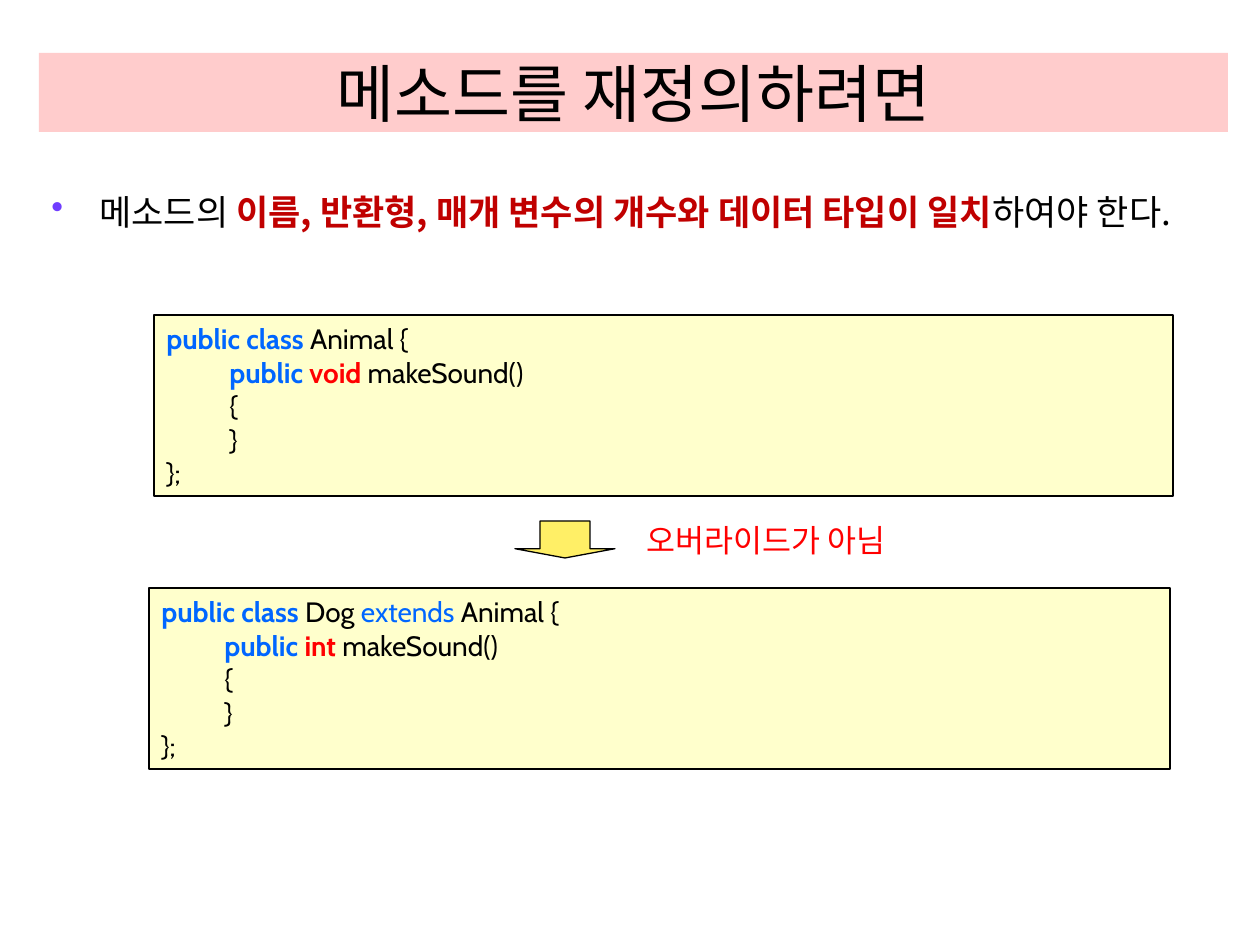
from lxml.etree import SubElement
from pptx import Presentation
from pptx.dml.color import RGBColor
from pptx.enum.shapes import MSO_CONNECTOR, MSO_SHAPE
from pptx.enum.text import MSO_ANCHOR, PP_ALIGN
from pptx.oxml.ns import qn
from pptx.util import Emu, Pt

BLACK = RGBColor(0x00, 0x00, 0x00)
PINK = RGBColor(0xFF, 0xCC, 0xCC)
CREAM = RGBColor(0xFF, 0xFF, 0xCC)
YELLOW = RGBColor(0xFF, 0xEF, 0x66)
BLUE = RGBColor(0x00, 0x66, 0xFF)
RED = RGBColor(0xFF, 0x00, 0x00)
CRIMSON = RGBColor(0xC0, 0x00, 0x00)
VIOLET = RGBColor(0x70, 0x3D, 0xFF)
HANGUL = "Noto Sans CJK KR"
CODE = "Cabin"
COMIC = "Comic Neue"


def px(*sizes):
    return [Emu(round(size * 914400 / 126)) for size in sizes]


class Deck:
    def __init__(self, wide, high):
        self.prs = Presentation()
        self.prs.slide_width, self.prs.slide_height = px(wide, high)
        self.slide = self.prs.slides.add_slide(self.prs.slide_layouts[6])
        self.edge = Pt(0.75)

    def shape(self, kind, box, fill, line=None):
        shape = self.slide.shapes.add_shape(kind, *px(*box))
        shape.shadow.inherit = False
        shape.fill.solid()
        shape.fill.fore_color.rgb = fill
        if line is None:
            shape.line.fill.background()
        else:
            shape.line.color.rgb = line
            shape.line.width = self.edge
        return shape

    def font(self, para, size, name, color=BLACK):
        para.font.size = Pt(size)
        para.font.name = name
        para.font.color.rgb = color
        props = para._p.pPr.find(qn("a:defRPr"))
        SubElement(props, qn("a:ea")).set("typeface", HANGUL)

    def runs(self, para, parts):
        for text, color, bold in parts:
            run = para.add_run()
            run.text = text
            run.font.color.rgb = color
            run.font.bold = bold

    def title(self, box, text):
        frame = self.shape(MSO_SHAPE.RECTANGLE, box, PINK).text_frame
        frame.vertical_anchor = MSO_ANCHOR.MIDDLE
        para = frame.paragraphs[0]
        para.text = text
        para.alignment = PP_ALIGN.CENTER
        self.font(para, 36, HANGUL)

    def bullet(self, box, parts):
        frame = self.slide.shapes.add_textbox(*px(*box)).text_frame
        frame.word_wrap = True
        para = frame.paragraphs[0]
        props = para._p.get_or_add_pPr()
        indent = px(48)[0]
        props.set("marL", str(indent))
        props.set("indent", str(-indent))
        tint = SubElement(props, qn("a:buClr"))
        SubElement(tint, qn("a:srgbClr")).set("val", str(VIOLET))
        SubElement(props, qn("a:buChar")).set("char", "•")
        self.runs(para, parts)
        self.font(para, 20, HANGUL)

    def code(self, box, head, kind):
        frame = self.shape(MSO_SHAPE.RECTANGLE, box, CREAM, BLACK).text_frame
        frame.vertical_anchor = MSO_ANCHOR.MIDDLE
        method = [
            ("\tpublic", BLUE, True),
            (f" {kind}", RED, True),
            (" makeSound()", BLACK, False),
        ]
        tail = [[(text, BLACK, False)] for text in ("\t{", "\t}", "};")]
        first = [("public class", BLUE, True), *head]
        for spot, parts in enumerate([first, method, *tail]):
            para = frame.add_paragraph() if spot else frame.paragraphs[0]
            para.alignment = PP_ALIGN.LEFT
            self.runs(para, parts)
            self.font(para, 16, CODE)

    def label(self, box, text):
        frame = self.slide.shapes.add_textbox(*px(*box)).text_frame
        frame.word_wrap = False
        para = frame.paragraphs[0]
        para.text = text
        self.font(para, 18, COMIC, RED)

    def arrow(self, start, end):
        link = self.slide.shapes.add_connector(
            MSO_CONNECTOR.STRAIGHT, *px(*start, *end)
        )
        link.line.color.rgb = BLACK
        link.line.width = self.edge
        SubElement(link.line._get_or_add_ln(), qn("a:tailEnd")).set("type", "triangle")
        SubElement(link._element.spPr, qn("a:effectLst"))

    def block(self, box):
        shape = self.shape(MSO_SHAPE.DOWN_ARROW, box, YELLOW, BLACK)
        shape.adjustments[0] = 0.5
        shape.adjustments[1] = 0.25

    def save(self):
        self.prs.save("out.pptx")


def main():
    deck = Deck(1260, 945)
    deck.title((39, 53, 1189, 79), "메소드를 재정의하려면")
    deck.bullet((39, 184, 1187, 572), [
        ("메소드의 ", BLACK, False),
        ("이름, 반환형, 매개 변수의 개수와 데이터 타입이 일치", CRIMSON, True),
        ("하여야 한다.", BLACK, False),
    ])
    deck.code((154, 315, 1019, 181), [(" Animal {", BLACK, False)], "void")
    deck.code((149, 588, 1021, 181), [
        (" Dog ", BLACK, False),
        ("extends", BLUE, False),
        (" Animal {", BLACK, False),
    ], "int")
    deck.arrow((539, 520), (539, 520))
    deck.block((515, 521, 100, 37))
    deck.label((634, 515, 266, 50), "오버라이드가 아님")
    deck.save()


if __name__ == "__main__":
    main()
